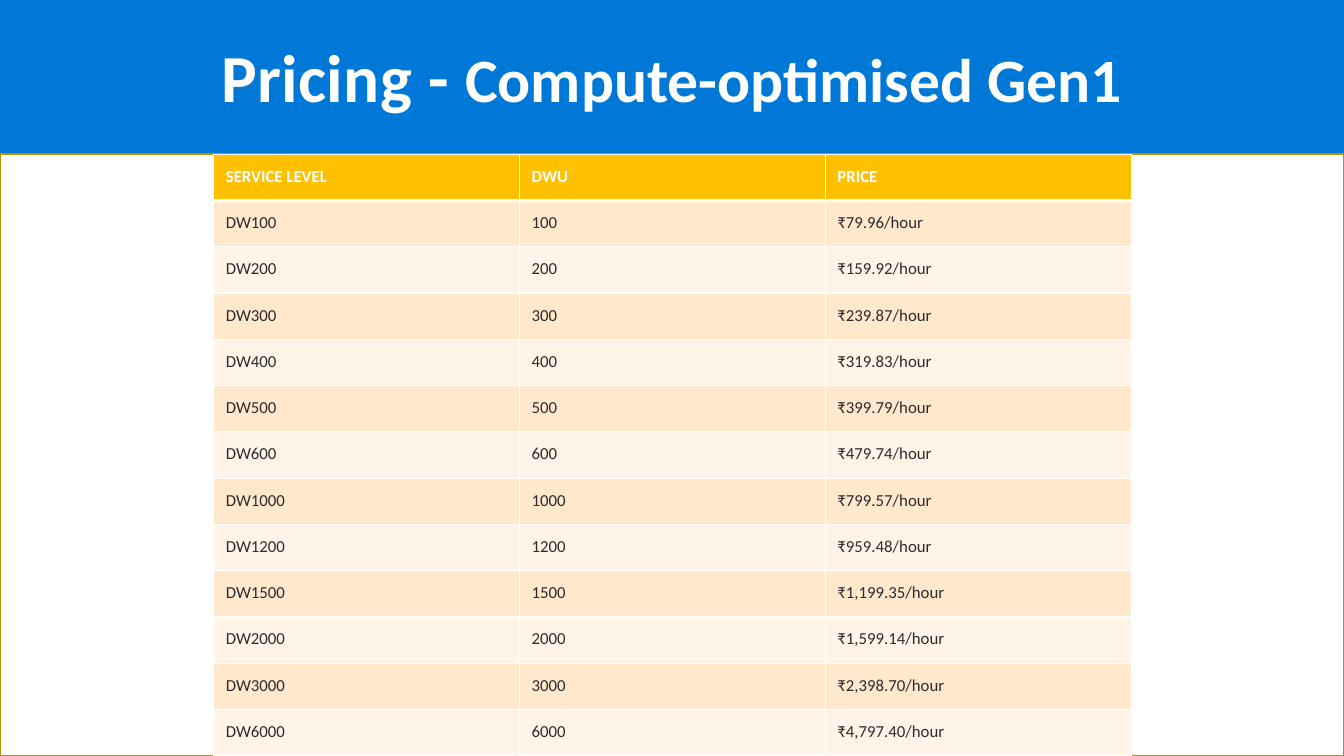
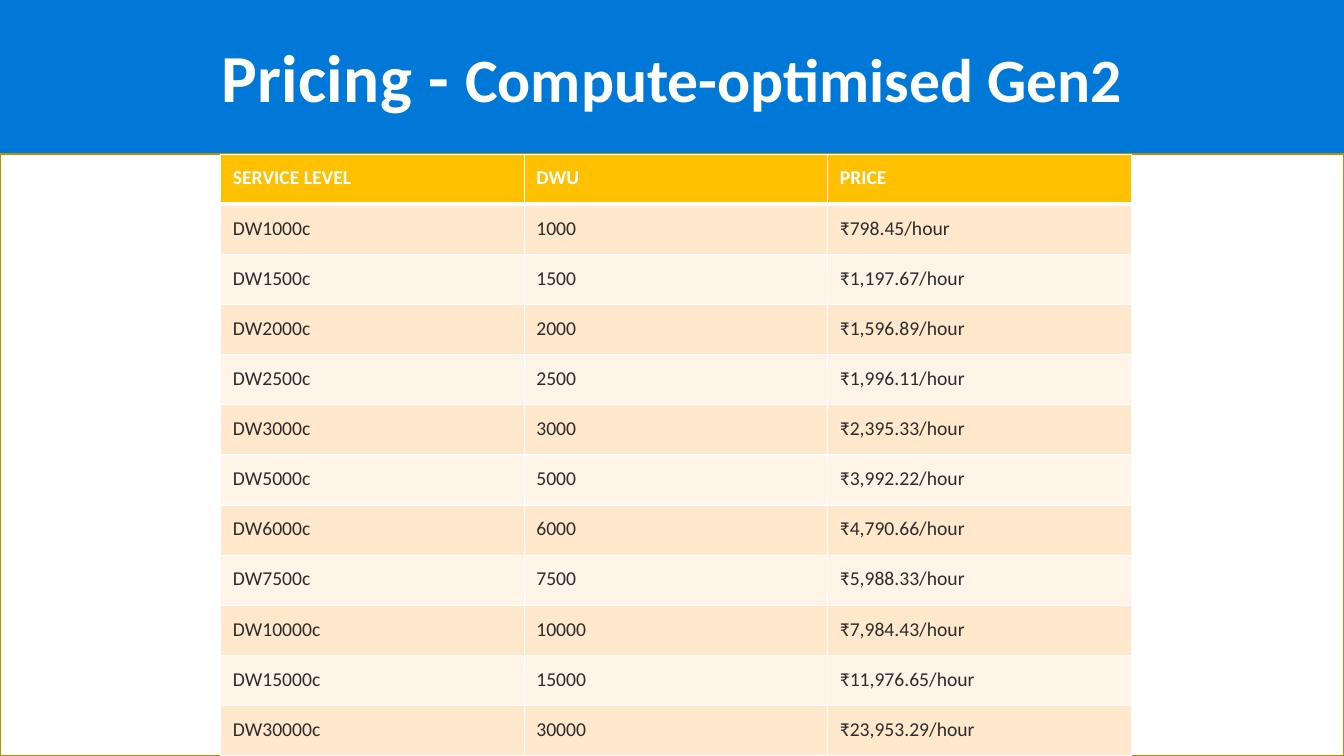
from pptx import Presentation
from pptx.dml.color import RGBColor
from pptx.enum.shapes import MSO_SHAPE
from pptx.enum.text import MSO_ANCHOR, MSO_AUTO_SIZE, PP_ALIGN
from pptx.oxml import parse_xml
from pptx.oxml.ns import nsdecls
from pptx.util import Inches, Pt

RECTANGLE = MSO_SHAPE.RECTANGLE
MIDDLE = MSO_ANCHOR.MIDDLE
NO_AUTOFIT = MSO_AUTO_SIZE.NONE
CENTER = PP_ALIGN.CENTER

BLUE = RGBColor(0x00, 0x78, 0xD7)
WHITE = RGBColor(0xFF, 0xFF, 0xFF)
DARK = RGBColor(0x2C, 0x2C, 0x2C)
GOLD = RGBColor(0xFF, 0xC0, 0x00)
DARK_GOLD = RGBColor(0xBD, 0x8E, 0x00)
BANDS = (RGBColor(0xFF, 0xF4, 0xE7), RGBColor(0xFF, 0xE8, 0xCC))

FONT = "Calibri"
SLIDE_WIDTH, SLIDE_HEIGHT = Inches(13.33), Inches(7.5)
TITLE_TOP = Inches(0.08)
CONTENT_TOP = Inches(1.53)
CONTENT_HEIGHT = SLIDE_HEIGHT - CONTENT_TOP
TABLE_RIGHT = Inches(11.22)
CELL_MARGIN = Inches(0.12)

HEADINGS = ("SERVICE LEVEL", "DWU", "PRICE")

# Service level and hourly price; the DWU is the number in the level
GEN1_PRICES = (
    ("DW100", "79.96"),
    ("DW200", "159.92"),
    ("DW300", "239.87"),
    ("DW400", "319.83"),
    ("DW500", "399.79"),
    ("DW600", "479.74"),
    ("DW1000", "799.57"),
    ("DW1200", "959.48"),
    ("DW1500", "1,199.35"),
    ("DW2000", "1,599.14"),
    ("DW3000", "2,398.70"),
    ("DW6000", "4,797.40"),
)
GEN2_PRICES = (
    ("DW1000c", "798.45"),
    ("DW1500c", "1,197.67"),
    ("DW2000c", "1,596.89"),
    ("DW2500c", "1,996.11"),
    ("DW3000c", "2,395.33"),
    ("DW5000c", "3,992.22"),
    ("DW6000c", "4,790.66"),
    ("DW7500c", "5,988.33"),
    ("DW10000c", "7,984.43"),
    ("DW15000c", "11,976.65"),
    ("DW30000c", "23,953.29"),
)


class PricingDeck:
    """Holds the shared style and the slide being built."""

    def __init__(self):
        self.prs = Presentation()
        self.prs.slide_width, self.prs.slide_height = SLIDE_WIDTH, SLIDE_HEIGHT
        background = self.prs.slide_master.background.fill
        background.solid()
        background.fore_color.rgb = BLUE
        self.slide = None

    def add_slide(self):
        self.slide = self.prs.slides.add_slide(self.prs.slide_layouts[5])

    def style_font(self, font, color, bold):
        font.name = FONT
        font.bold = bold
        font.color.rgb = color

    def add_panel(self):
        panel = self.slide.shapes.add_shape(
            RECTANGLE, 0, CONTENT_TOP, SLIDE_WIDTH, CONTENT_HEIGHT)
        panel.shadow.inherit = False
        panel.fill.solid()
        panel.fill.fore_color.rgb = WHITE
        panel.line.color.rgb = DARK_GOLD
        panel.line.width = Pt(1)

    def add_title(self, topic, detail):
        title = self.slide.shapes.title
        title.left, title.top = 0, TITLE_TOP
        title.width, title.height = SLIDE_WIDTH, CONTENT_TOP - TITLE_TOP
        frame = title.text_frame
        frame.auto_size = NO_AUTOFIT
        frame.vertical_anchor = MIDDLE
        heading = frame.paragraphs[0]
        heading.alignment = CENTER
        heading.line_spacing = 0.9
        self.style_font(heading.font, WHITE, True)
        for text, size, spacing in ((topic, 48, 30), (detail, 44, 0)):
            run = heading.add_run()
            run.text = text
            run.font.size = Pt(size)
            run.font._element.set("spc", str(spacing))

    def add_borders(self, cell, bottom_width):
        properties = cell._tc.get_or_add_tcPr()
        sides = (("L", 1), ("R", 1), ("T", 1), ("B", bottom_width))
        # Borders come before the fill in the cell properties
        for position, (side, width) in enumerate(sides):
            properties.insert(position, parse_xml(
                f'<a:ln{side} {nsdecls("a")} w="{Pt(width)}"><a:solidFill>'
                f'<a:srgbClr val="{WHITE}"/></a:solidFill></a:ln{side}>'))

    def fill_cell(self, cell, text, size, row):
        is_header = row == 0
        cell.margin_left = cell.margin_right = CELL_MARGIN
        cell.margin_top = cell.margin_bottom = CELL_MARGIN
        cell.fill.solid()
        cell.fill.fore_color.rgb = GOLD if is_header else BANDS[row % 2]
        self.add_borders(cell, 3 if is_header else 1)
        cell.text = text
        font = cell.text_frame.paragraphs[0].font
        font.size = Pt(size)
        self.style_font(font, WHITE if is_header else DARK, is_header)

    def add_price_table(self, prices, width, size):
        rows = [HEADINGS] + [
            (level, level.strip("DWc"), f"₹{price}/hour")
            for level, price in prices]
        table = self.slide.shapes.add_table(
            len(rows), len(HEADINGS), TABLE_RIGHT - width, CONTENT_TOP,
            width, CONTENT_HEIGHT).table
        for column in table.columns:
            column.width = width // len(HEADINGS)
        for row, texts in enumerate(rows):
            table.rows[row].height = CONTENT_HEIGHT // len(rows)
            for column, text in enumerate(texts):
                self.fill_cell(table.cell(row, column), text, size, row)

    def add_pricing_slide(self, generation, prices, table_width, text_size):
        self.add_slide()
        self.add_panel()
        self.add_title("Pricing - ", f"Compute-optimised {generation}")
        self.add_price_table(prices, table_width, text_size)


def main():
    deck = PricingDeck()
    deck.add_pricing_slide("Gen1", GEN1_PRICES, Inches(9.1), 12)
    deck.add_pricing_slide("Gen2", GEN2_PRICES, Inches(9.03), 14)
    deck.prs.save("out.pptx")


if __name__ == "__main__":
    main()
